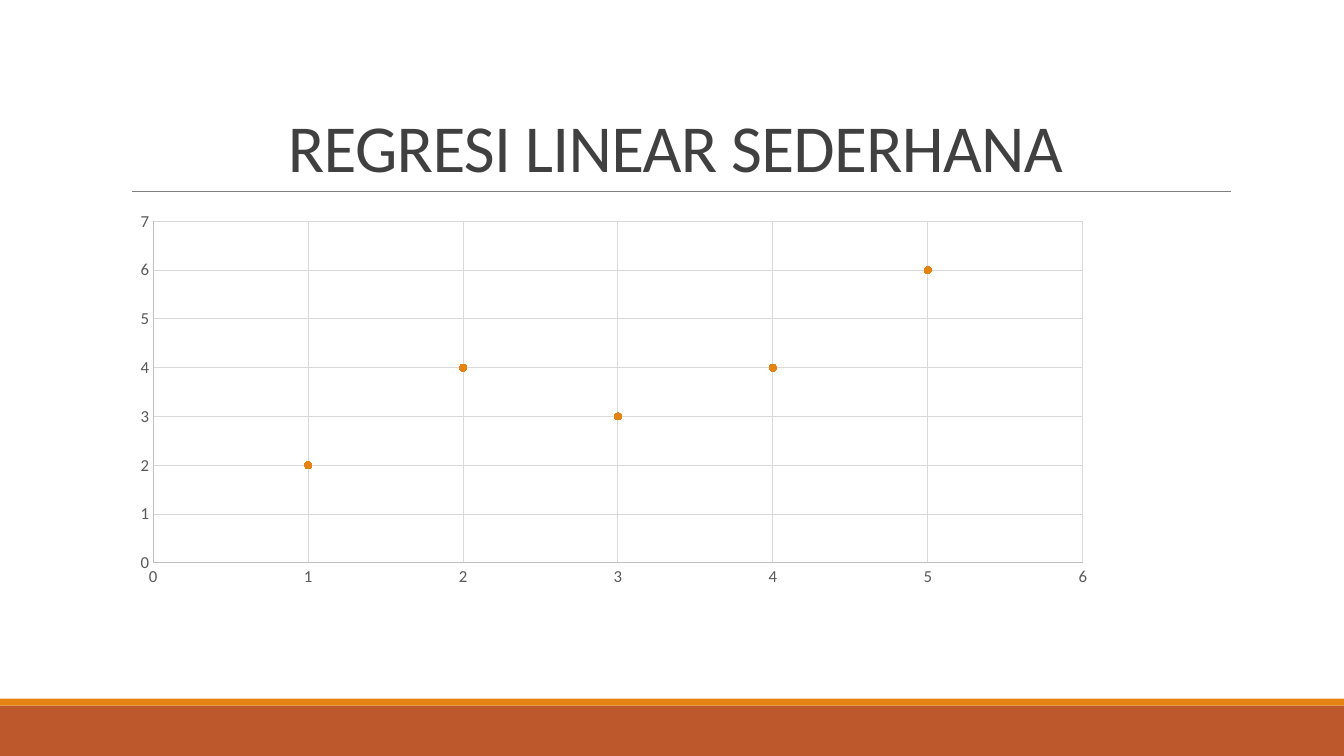
from dataclasses import dataclass

import lxml.etree
import pptx
import pptx.chart.axis
import pptx.chart.data
import pptx.dml.color
import pptx.dml.line
import pptx.enum.chart
import pptx.enum.shapes
import pptx.enum.text
import pptx.oxml.ns
import pptx.slide
import pptx.util


@dataclass(frozen=True)
class Theme:
    font: str = "Calibri"
    title_size: float = 48
    axis_size: float = 12
    chart_size: float = 10
    title: str = "404040"
    axis_text: str = "595959"
    axis_line: str = "BFBFBF"
    grid: str = "D9D9D9"
    rule: str = "808080"
    accent: str = "E48312"
    footer: str = "BD582C"
    black: str = "000000"


@dataclass(frozen=True)
class Band:
    top: float
    height: float
    color: str


@dataclass(frozen=True)
class AxisScale:
    axis: pptx.chart.axis.ValueAxis
    maximum: float


THEME = Theme()
SLIDE_WIDTH = 960
SLIDE_HEIGHT = 540
BANDS = [Band(504, 36, THEME.footer), Band(499, 5, THEME.accent)]
POINTS = [(1, 2), (2, 4), (3, 3), (4, 4), (5, 6)]


def rgb(color: str) -> pptx.dml.color.RGBColor:
    return pptx.dml.color.RGBColor.from_string(color)


def style_line(line: pptx.dml.line.LineFormat, color: str, width: float) -> None:
    line.color.rgb = rgb(color)
    line.width = pptx.util.Pt(width)


def add_band(s: pptx.slide.Slide, band: Band) -> None:
    sp = s.shapes.add_shape(
        pptx.enum.shapes.MSO_SHAPE.RECTANGLE,
        pptx.util.Pt(0), pptx.util.Pt(band.top),
        pptx.util.Pt(SLIDE_WIDTH), pptx.util.Pt(band.height),
    )
    sp.shadow.inherit = False
    sp.fill.solid()
    sp.fill.fore_color.rgb = rgb(band.color)
    sp.line.fill.background()


def add_rule(s: pptx.slide.Slide) -> None:
    rule = s.shapes.add_connector(
        pptx.enum.shapes.MSO_CONNECTOR.STRAIGHT,
        pptx.util.Pt(94.3), pptx.util.Pt(136.8),
        pptx.util.Pt(879.1), pptx.util.Pt(136.8),
    )
    style_line(rule.line, THEME.rule, 0.5)
    lxml.etree.SubElement(rule._element.spPr, pptx.oxml.ns.qn("a:effectLst"))


def write_title(s: pptx.slide.Slide, text: str) -> None:
    sp = s.shapes.title
    sp.left, sp.top = pptx.util.Pt(86.4), pptx.util.Pt(22.3)
    sp.width, sp.height = pptx.util.Pt(792), pptx.util.Pt(114.5)
    tf = sp.text_frame
    tf.word_wrap = True
    tf.auto_size = pptx.enum.text.MSO_AUTO_SIZE.NONE
    tf.vertical_anchor = pptx.enum.text.MSO_ANCHOR.BOTTOM
    p = tf.paragraphs[0]
    p.alignment = pptx.enum.text.PP_ALIGN.CENTER
    p.line_spacing = 0.85
    r = p.add_run()
    r.text = text
    r.font.name = THEME.font
    r.font.size = pptx.util.Pt(THEME.title_size)
    r.font.color.rgb = rgb(THEME.title)
    r.font._element.set("spc", "-50")


def style_axis(scale: AxisScale) -> None:
    axis = scale.axis
    axis.minimum_scale = 0
    axis.maximum_scale = scale.maximum
    axis.major_unit = 1
    axis.major_tick_mark = pptx.enum.chart.XL_TICK_MARK.NONE
    axis.minor_tick_mark = pptx.enum.chart.XL_TICK_MARK.NONE
    axis.has_major_gridlines = True
    style_line(axis.major_gridlines.format.line, THEME.grid, 0.75)
    style_line(axis.format.line, THEME.axis_line, 0.75)
    font = axis.tick_labels.font
    font.name = THEME.font
    font.size = pptx.util.Pt(THEME.axis_size)
    font.color.rgb = rgb(THEME.axis_text)


def add_scatter(s: pptx.slide.Slide) -> None:
    data = pptx.chart.data.XyChartData()
    series_data = data.add_series("Series 1")
    for x, y in POINTS:
        series_data.add_data_point(x, y)
    chart = s.shapes.add_chart(
        pptx.enum.chart.XL_CHART_TYPE.XY_SCATTER,
        pptx.util.Pt(86.4), pptx.util.Pt(145.4),
        pptx.util.Pt(704.2), pptx.util.Pt(279.4), data,
    ).chart
    chart.has_title = False
    chart.has_legend = False
    chart.font.name = THEME.font
    chart.font.size = pptx.util.Pt(THEME.chart_size)
    chart.font.color.rgb = rgb(THEME.black)
    for scale in (AxisScale(chart.category_axis, 6), AxisScale(chart.value_axis, 7)):
        style_axis(scale)

    plot = chart.plots[0]
    plot.vary_by_categories = False
    series = plot.series[0]
    series.format.line.fill.background()
    marker = series.marker
    marker.style = pptx.enum.chart.XL_MARKER_STYLE.CIRCLE
    marker.size = 5
    marker.format.fill.solid()
    marker.format.fill.fore_color.rgb = rgb(THEME.accent)
    style_line(marker.format.line, THEME.accent, 0.75)


def main() -> None:
    prs = pptx.Presentation()
    prs.slide_width = pptx.util.Pt(SLIDE_WIDTH)
    prs.slide_height = pptx.util.Pt(SLIDE_HEIGHT)
    s = prs.slides.add_slide(prs.slide_layouts.get_by_name("Title Only"))
    for band in BANDS:
        add_band(s, band)
    add_rule(s)
    write_title(s, "REGRESI LINEAR SEDERHANA")
    add_scatter(s)
    prs.save("out.pptx")


if __name__ == "__main__":
    main()
